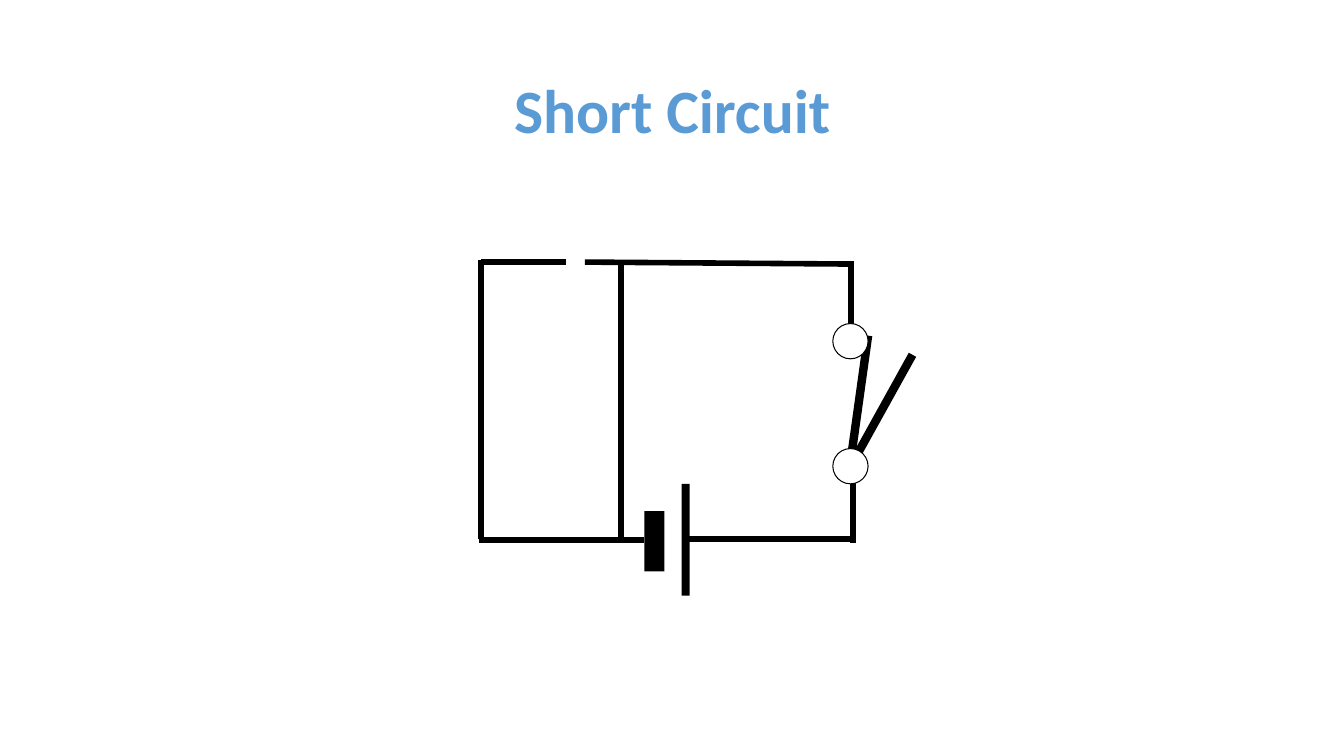
from dataclasses import dataclass

from lxml.etree import SubElement
from pptx import Presentation
from pptx.dml.color import RGBColor
from pptx.enum.shapes import MSO_CONNECTOR, MSO_SHAPE
from pptx.enum.text import MSO_ANCHOR, PP_ALIGN
from pptx.oxml.ns import qn
from pptx.util import Inches, Pt


@dataclass(frozen=True)
class Theme:
    font: str = "Calibri"
    title_size: Pt = Pt(44)
    title: RGBColor = RGBColor(0x5B, 0x9B, 0xD5)
    ink: RGBColor = RGBColor(0, 0, 0)
    paper: RGBColor = RGBColor(0xFF, 0xFF, 0xFF)
    wire: Pt = Pt(4)
    switch_arm: Pt = Pt(6)
    outline: Pt = Pt(0.75)


THEME = Theme()
CONTACT_SIZE = 0.35

BATTERY_PLATES = [(6.39, 5.07, 0.2, 0.6), (6.76, 4.8, 0.08, 1.11)]
LOOP_WIRES = [
    (5.61, 2.6, 4.77, 2.6),
    (4.77, 5.35, 4.77, 2.58),
    (6.39, 5.36, 4.75, 5.36),
    (8.46, 5.35, 6.82, 5.35),
    (8.46, 4.77, 8.46, 5.39),
    (8.44, 2.59, 8.44, 3.26),
    (5.8, 2.6, 8.46, 2.62),
]
SHORT_WIRE = (6.16, 5.35, 6.16, 2.58)
SWITCH_ARMS = [(8.43, 4.62, 8.61, 3.33), (8.44, 4.62, 9.05, 3.52)]
SWITCH_CONTACTS = [(8.26, 4.45), (8.26, 3.21)]


def add_title(slide, text):
    box = slide.shapes.add_textbox(Inches(0.92), Inches(0.4), Inches(11.5), Inches(1.45))
    frame = box.text_frame
    frame.word_wrap = True
    frame.vertical_anchor = MSO_ANCHOR.MIDDLE
    frame.text = text
    paragraph = frame.paragraphs[0]
    paragraph.alignment = PP_ALIGN.CENTER
    paragraph.line_spacing = 0.9
    font = paragraph.runs[0].font
    font.name = THEME.font
    font.size = THEME.title_size
    font.bold = True
    font.color.rgb = THEME.title


def add_wire(slide, ends, width=THEME.wire):
    """Draw a straight conductor; ends holds x1, y1, x2, y2 in inches."""
    line = slide.shapes.add_connector(MSO_CONNECTOR.STRAIGHT, *map(Inches, ends))
    line.line.color.rgb = THEME.ink
    line.line.width = width
    SubElement(line.element.spPr, qn("a:effectLst"))


def add_filled_shape(slide, kind, bounds, color):
    shape = slide.shapes.add_shape(kind, *map(Inches, bounds))
    shape.shadow.inherit = False
    shape.fill.solid()
    shape.fill.fore_color.rgb = color
    return shape


def add_plate(slide, bounds):
    plate = add_filled_shape(slide, MSO_SHAPE.RECTANGLE, bounds, THEME.ink)
    plate.line.fill.background()


def add_contact(slide, left, top):
    bounds = (left, top, CONTACT_SIZE, CONTACT_SIZE)
    contact = add_filled_shape(slide, MSO_SHAPE.OVAL, bounds, THEME.paper)
    contact.line.color.rgb = THEME.ink
    contact.line.width = THEME.outline


def main():
    presentation = Presentation()
    presentation.slide_width = Inches(13.33)
    presentation.slide_height = Inches(7.5)
    slide = presentation.slides.add_slide(presentation.slide_layouts[6])

    for bounds in BATTERY_PLATES:
        add_plate(slide, bounds)
    for ends in LOOP_WIRES:
        add_wire(slide, ends)
    for ends in SWITCH_ARMS:
        add_wire(slide, ends, THEME.switch_arm)
    for left, top in SWITCH_CONTACTS:
        add_contact(slide, left, top)
    add_wire(slide, SHORT_WIRE)
    add_title(slide, "Short Circuit")

    presentation.save("out.pptx")


if __name__ == "__main__":
    main()
